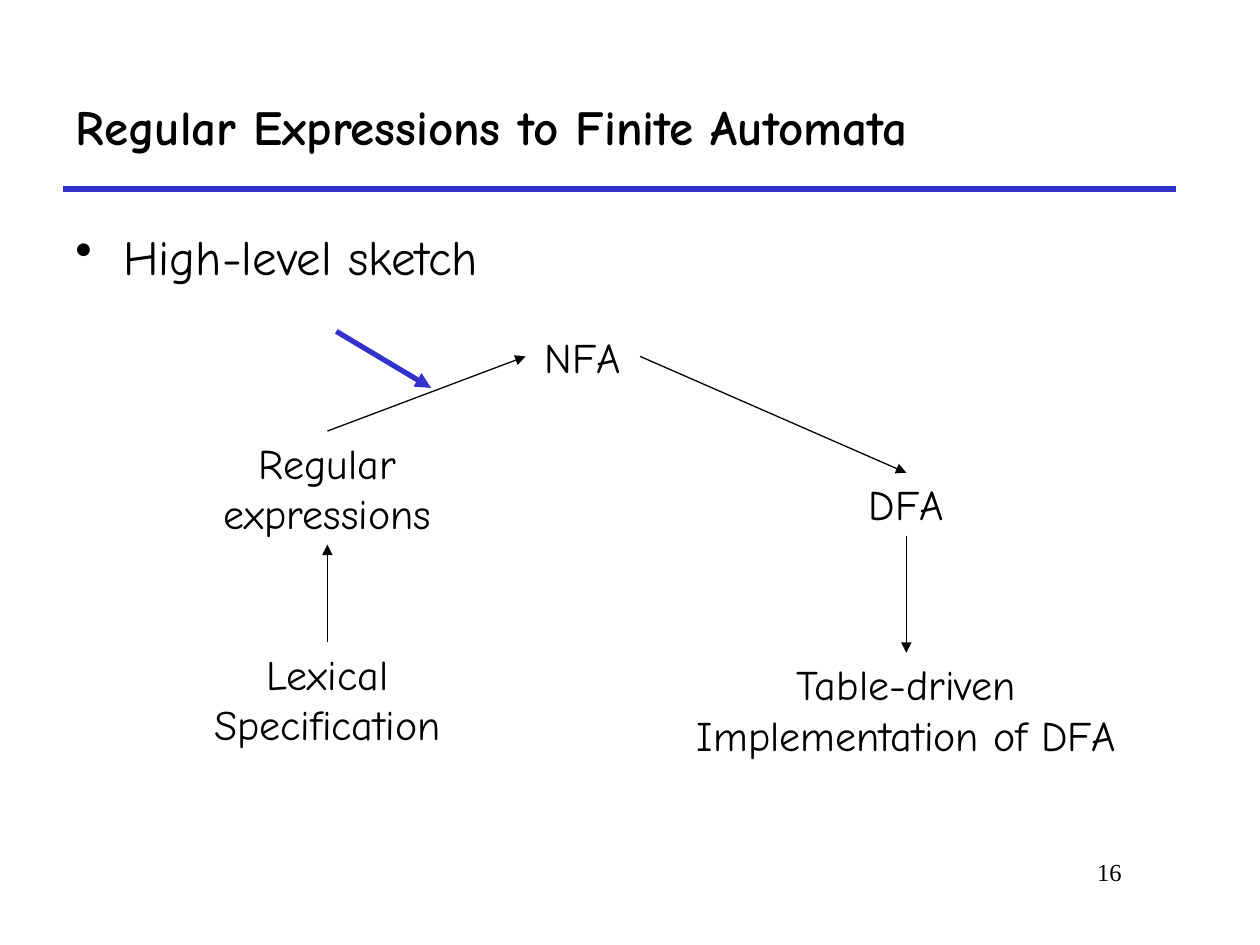
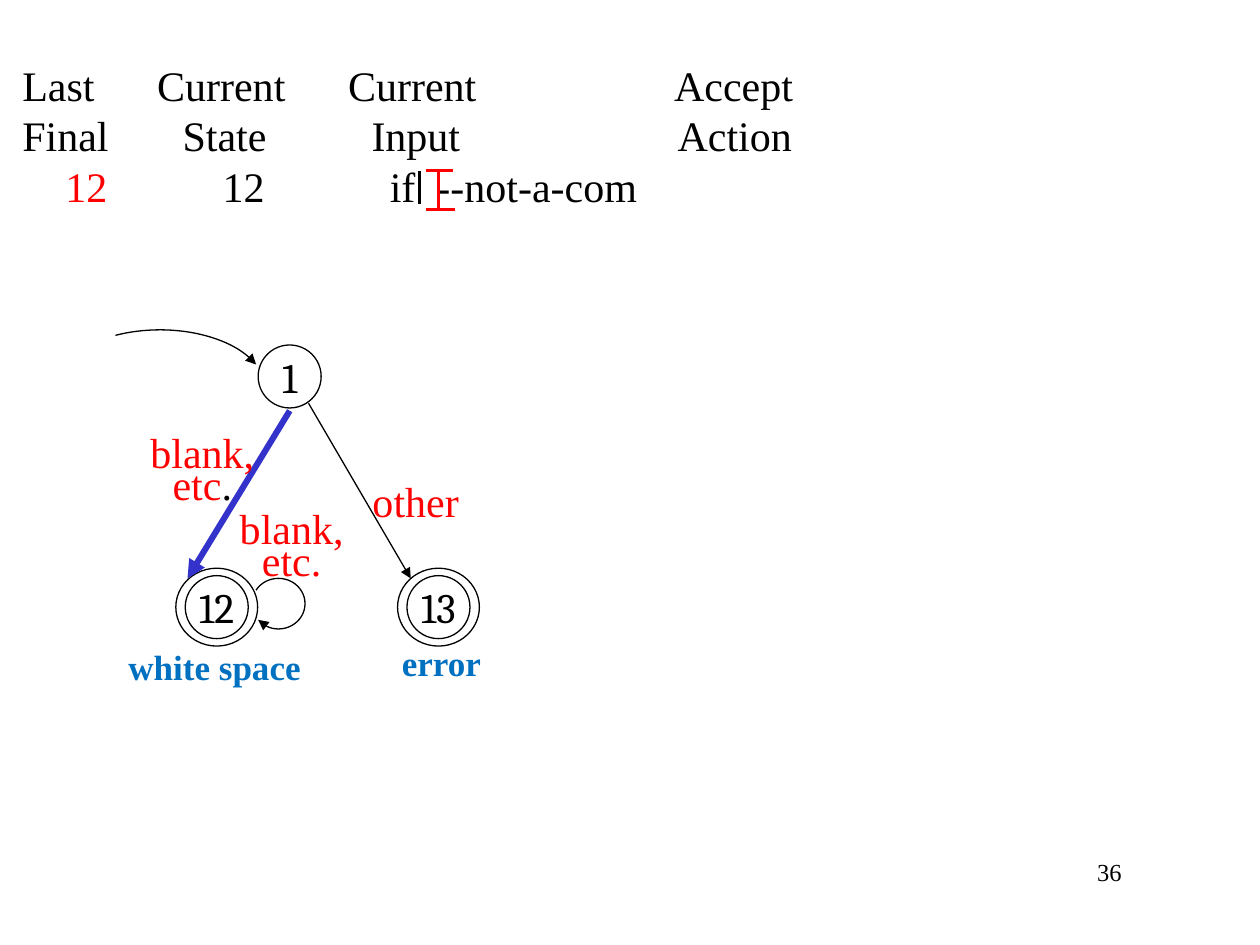
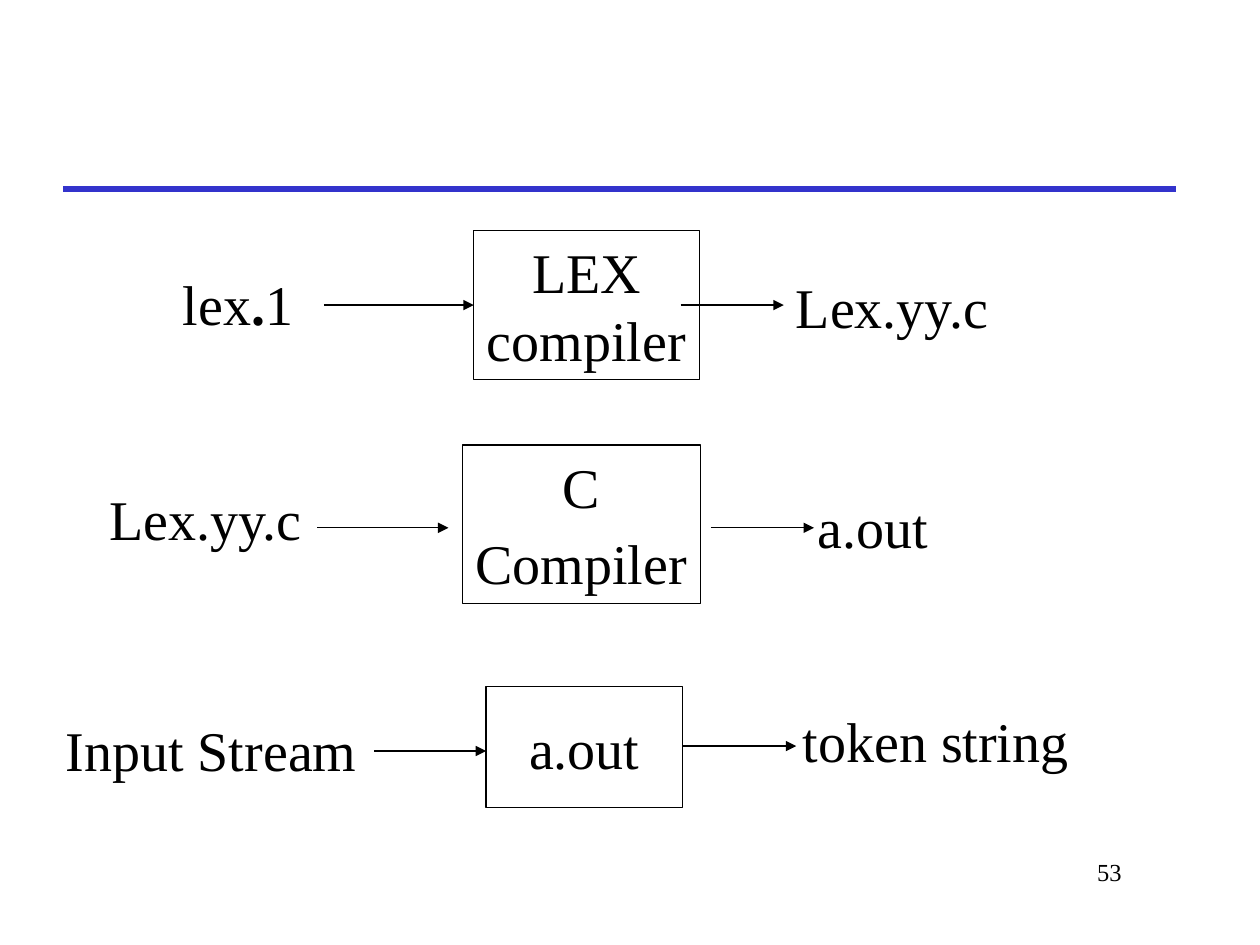
"""Builds three lecture slides on lexical analysis: automata, scanner trace and LEX pipeline."""
from lxml import etree
from pptx import Presentation
from pptx.dml.color import RGBColor
from pptx.enum.shapes import MSO_CONNECTOR, MSO_SHAPE
from pptx.enum.text import MSO_ANCHOR, PP_ALIGN
from pptx.oxml.ns import qn
from pptx.util import Cm, Pt

STRAIGHT = MSO_CONNECTOR.STRAIGHT
CIRCLE, BOX, ARC = MSO_SHAPE.FLOWCHART_CONNECTOR, MSO_SHAPE.RECTANGLE, MSO_SHAPE.ARC
LEFT, CENTER, RIGHT = PP_ALIGN.LEFT, PP_ALIGN.CENTER, PP_ALIGN.RIGHT
TOP, MIDDLE = MSO_ANCHOR.TOP, MSO_ANCHOR.MIDDLE
TITLE_ONLY, BLANK = 5, 6

BLACK, WHITE, BLUE, RED, SKY = "000000", "FFFFFF", "3333CC", "FF0000", "0070C0"
COMIC, TIMES, CAMBRIA = "Comic Neue", "Times New Roman", "Cambria"

SKETCH_TITLE = "Regular Expressions to Finite Automata"
SKETCH_BULLET = "High-level sketch"
STAGES = {  # name: lines, centre x, top, width, height
    "regex": (["Regular", "expressions"], 6.6, 8.69, 5.16, 2.29),
    "nfa": (["NFA"], 11.75, 6.55, 2.31, 1.27),
    "dfa": (["DFA"], 18.27, 9.53, 2.26, 1.27),
    "spec": (["Lexical", "Specification"], 6.6, 12.95, 5.77, 2.29),
    "table": (["Table-driven", "Implementation of DFA"], 18.27, 13.16, 9.83, 2.29),
}
STAGE_ARROWS = [
    ("spec", "top", "regex", "bottom"),
    ("regex", "top", "nfa", "left"),
    ("nfa", "right", "dfa", "top"),
    ("dfa", "bottom", "table", "top"),
]
STEP_POINTER = (6.78, 6.68, 8.69, 7.82)

TRACE = [
    (["Last\tCurrent\tCurrent\tAccept"], (2.72, 6.57, 13.14)),
    (["Final\tState\tInput\tAction"], (3.23, 7.04, 13.21)),
    (["\t", ("12", {"color": RED}), "\t12\tif\t--not-a-com"], (0.87, 4.04, 7.41, 8.35)),
]
CURSOR = [
    (8.84, 3.43, 8.84, 4.22, RED, 1.55),
    (8.59, 3.43, 9.14, 3.43, RED, 1.55),
    (8.59, 4.22, 9.17, 4.22, RED, 1.55),
    (8.46, 3.45, 8.46, 4.11, BLACK, 1.5),
]
STATES = [("1", 5.84, 7.59, False), ("13", 8.84, 12.24, True), ("12", 4.37, 12.24, True)]
TRANSITIONS = [(5.84, 8.28, 3.78, 11.66, BLUE, 3.5), (6.22, 8.13, 8.28, 11.66, BLACK, 0.75)]
ARCS = [(5.08, 11.66, 1.07, 1.02, 210.95, 141.57), (1.09, 6.65, 4.27, 2.41, 230.64, 345.38)]
BLANK_LABELS = [
    (["blank,", ["etc", (".", {"color": BLACK})]], 2.77, 8.86),
    (["blank,", "etc."], 4.57, 10.39),
]
STATE_LABELS = [
    ("other", (7.26, 9.47, 2.26, 1.3), {"size": 24, "color": RED}),
    ("error", (7.85, 12.8, 2.13, 1.12), {"size": 20, "color": SKY, "bold": True}),
    ("white space", (2.34, 12.88, 4.01, 1.12), {"size": 20, "color": SKY, "bold": True}),
]

PIPELINE = [
    {"input": ([["lex", (".", {"bold": True}), "1"]], 3.43, 5.31, 2.74),
     "tool": (["LEX", "compiler"], 9.55, 4.65, 4.55, 3.0), "gap": 0,
     "output": (["Lex.yy.c"], 15.75, 5.38, 4.47),
     "arrows": [(6.53, 9.55, 6.15), (13.72, 15.8, 6.15)]},
    {"input": (["Lex.yy.c"], 1.91, 9.65, 4.47),
     "tool": (["C", "Compiler"], 9.32, 8.97, 4.8, 3.2), "gap": 4.8,
     "output": (["a.out"], 16.23, 9.8, 2.74),
     "arrows": [(6.4, 9.04, 10.64), (14.33, 16.41, 10.64)]},
    {"input": (["Input Stream"], 1.07, 14.3, 6.38),
     "tool": (["a.out"], 9.8, 13.84, 3.96, 2.44), "gap": 0,
     "output": (["token string"], 15.93, 14.12, 5.87),
     "arrows": [(7.54, 9.8, 15.14), (13.77, 16.05, 15.04)]},
]


def rgb(value):
    """Turn a hex string into a colour."""
    return RGBColor.from_string(value)


def cms(*lengths):
    """Turn numbers into centimetre lengths."""
    return [Cm(length) for length in lengths]


def write(frame, lines, font=TIMES, size=24, color=BLACK, bold=False, align=LEFT,
          anchor=TOP, wrap=False, spacing=None, gap=0):
    """Fill a text frame; a line is a string or a list of strings and (string, format) runs."""
    frame.word_wrap, frame.vertical_anchor = wrap, anchor
    for index, line in enumerate(lines):
        paragraph = frame.paragraphs[0] if index == 0 else frame.add_paragraph()
        paragraph.alignment = align
        if spacing:
            paragraph.line_spacing = Pt(spacing)
        if index and gap:
            paragraph.space_before = Pt(gap)
        for piece in [line] if isinstance(line, str) else line:
            content, change = (piece, {}) if isinstance(piece, str) else piece
            run = paragraph.add_run()
            run.text = content
            run.font.name, run.font.size = font, Pt(size)
            run.font.bold = change.get("bold", bold)
            run.font.color.rgb = rgb(change.get("color", color))
    return frame


def add_text(slide, lines, place, **style):
    """Add a text box."""
    return write(slide.shapes.add_textbox(*cms(*place)).text_frame, lines, **style)


def add_line(slide, x1, y1, x2, y2, color=BLACK, width=0.75, arrow=True):
    """Add a straight line, with an arrowhead unless told otherwise."""
    connector = slide.shapes.add_connector(STRAIGHT, *cms(x1, y1, x2, y2))
    style_line(connector, color, width, arrow)
    etree.SubElement(connector.line._ln.getparent(), qn("a:effectLst"))


def style_line(shape, color=BLACK, width=0.75, arrow=False):
    """Set the line of a shape or connector."""
    shape.line.color.rgb, shape.line.width = rgb(color), Pt(width)
    if arrow:
        etree.SubElement(shape.line._ln, qn("a:tailEnd"), type="triangle")


def add_outline(slide, kind, place, fill=None, arrow=False):
    """Add a thinly outlined preset shape."""
    shape = slide.shapes.add_shape(kind, *cms(*place))
    shape.shadow.inherit = False
    if fill:
        shape.fill.solid()
        shape.fill.fore_color.rgb = rgb(fill)
    else:
        shape.fill.background()
    style_line(shape, arrow=arrow)
    return shape


def add_ring(slide, x, y, width, height):
    """Add a circle about a centre."""
    return add_outline(slide, CIRCLE, (x - width / 2, y - height / 2, width, height))


def new_slide(deck, layout, number, ruled=True):
    """Add a slide with its number and the blue rule."""
    slide = deck.slides.add_slide(deck.slide_layouts[layout])
    if ruled:
        add_line(slide, 1.27, 3.81, 23.7, 3.81, BLUE, 3, arrow=False)
    add_text(slide, [number], (19.25, 17.15, 3.61, 1.27), size=14, align=RIGHT, wrap=True)
    return slide


def add_tabs(paragraph, stops):
    """Give a paragraph left tab stops."""
    tabs = etree.SubElement(paragraph._p.get_or_add_pPr(), qn("a:tabLst"))
    for stop in stops:
        etree.SubElement(tabs, qn("a:tab"), pos=str(Cm(stop)), algn="l")


def add_bullet(paragraph, indent):
    """Give a paragraph a hanging bullet."""
    properties = paragraph._p.get_or_add_pPr()
    properties.set("marL", str(Cm(indent)))
    properties.set("indent", str(-Cm(indent)))
    etree.SubElement(properties, qn("a:buChar"), char="•")


def stage_point(name, side):
    """Find the middle of one side of a stage."""
    _, x, top, width, height = STAGES[name]
    return {"top": (x, top), "bottom": (x, top + height),
            "left": (x - width / 2, top + height / 2),
            "right": (x + width / 2, top + height / 2)}[side]


def build_sketch(deck):
    """Draw the route from specification to table."""
    slide = new_slide(deck, TITLE_ONLY, "16")
    title = slide.shapes.title
    title.left, title.top, title.width, title.height = cms(1.27, 1.27, 22.43, 2.54)
    write(title.text_frame, [SKETCH_TITLE], font=COMIC, size=28, bold=True,
          anchor=MIDDLE, wrap=True)
    body = add_text(slide, [SKETCH_BULLET], (1.27, 4.45, 23.06, 1.47), font=COMIC,
                    size=28, wrap=True)
    add_bullet(body.paragraphs[0], 0.97)
    for lines, x, top, width, height in STAGES.values():
        add_text(slide, lines, (x - width / 2, top, width, height), font=COMIC, align=CENTER)
    for start, start_side, end, end_side in STAGE_ARROWS:
        add_line(slide, *stage_point(start, start_side), *stage_point(end, end_side))
    add_line(slide, *STEP_POINTER, BLUE, 3)


def build_trace(deck):
    """Draw the scanner trace and its automaton."""
    slide = new_slide(deck, BLANK, "36", ruled=False)
    trace = add_text(slide, [line for line, _ in TRACE], (0.2, 1.07, 24.56, 16.51), wrap=True)
    for paragraph, (_, stops) in zip(trace.paragraphs, TRACE):
        add_tabs(paragraph, stops)
    for stroke in CURSOR:
        add_line(slide, *stroke, arrow=False)
    for label, x, y, accepting in STATES:
        write(add_ring(slide, x, y, 1.27, 1.27).text_frame, [label], font=CAMBRIA,
              align=CENTER, anchor=MIDDLE)
        if accepting:
            add_ring(slide, x, y, 1.65, 1.57)
    for transition in TRANSITIONS:
        add_line(slide, *transition)
    for *place, start, end in ARCS:
        arc = add_outline(slide, ARC, place, arrow=True)
        arc.adjustments[0], arc.adjustments[1] = start * 0.6, end * 0.6
    for lines, left, top in BLANK_LABELS:
        add_text(slide, lines, (left, top, 2.62, 1.57), color=RED, align=CENTER, spacing=18)
    for label, place, style in STATE_LABELS:
        add_text(slide, [label], place, **style)


def build_pipeline(deck):
    """Draw the three steps from LEX source to tokens."""
    slide = new_slide(deck, BLANK, "53")
    style = {"size": 32, "align": CENTER, "anchor": MIDDLE}
    for step in PIPELINE:
        lines, *place = step["tool"]
        box = add_outline(slide, BOX, place, fill=WHITE)
        write(box.text_frame, lines, gap=step["gap"], **style)
        for lines, *place in (step["input"], step["output"]):
            add_text(slide, lines, (*place, 1.6), **style)
        for start, end, y in step["arrows"]:
            add_line(slide, start, y, end, y)


def main():
    """Build and save the deck."""
    deck = Presentation()
    deck.slide_width, deck.slide_height = cms(25.4, 19.05)
    build_sketch(deck)
    build_trace(deck)
    build_pipeline(deck)
    deck.save("out.pptx")


if __name__ == "__main__":
    main()
